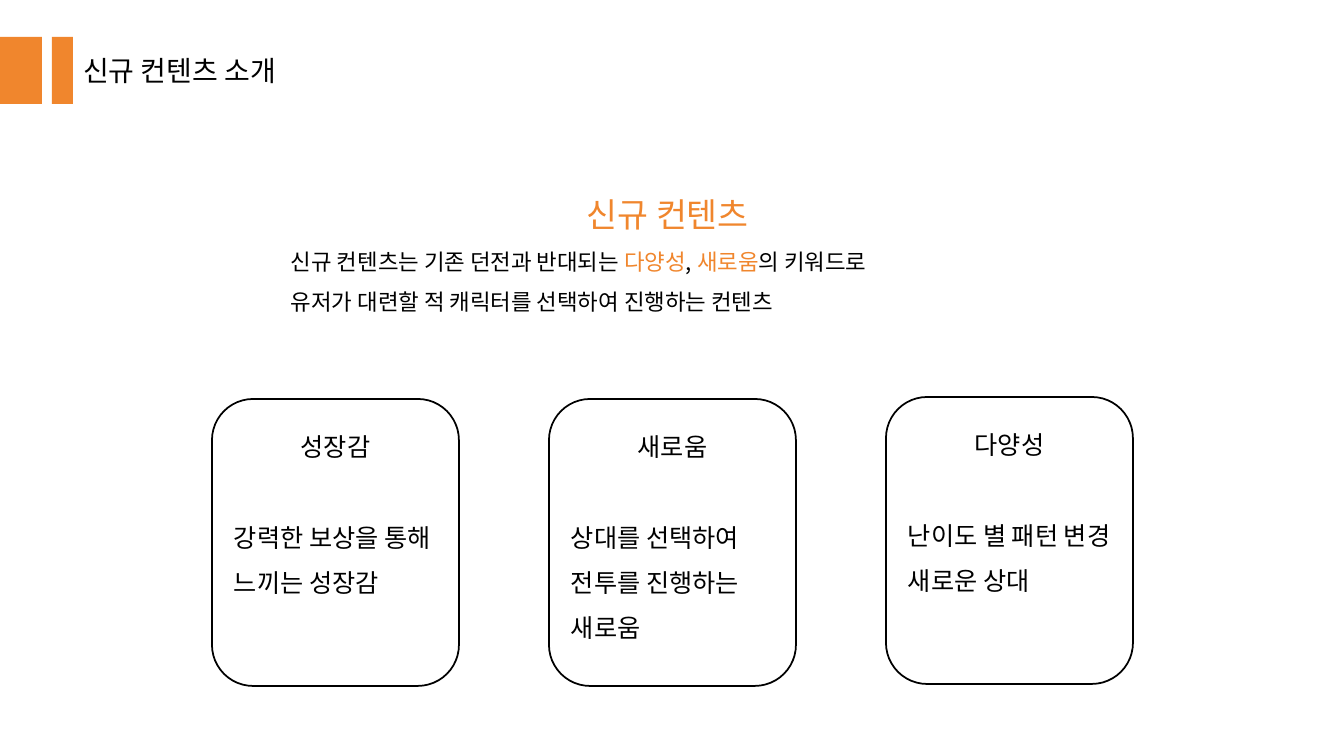
from lxml.etree import SubElement
from pptx import Presentation
from pptx.dml.color import RGBColor
from pptx.enum.shapes import MSO_SHAPE as Shape
from pptx.enum.text import MSO_ANCHOR as Anchor, PP_ALIGN as Align
from pptx.oxml.ns import qn
from pptx.util import Emu, Pt

FONT = "Noto Sans CJK KR"
ORANGE = "F0862D"
BLACK = "000000"
EMU_PER_PX = 914400 / 100.8
CARD_LEFT, CARD_STEP = 212, 337
CARD_WIDTH, CARD_HEIGHT = 247, 287
CARDS = [
    (399, "성장감", ["강력한 보상을 통해", "느끼는 성장감"]),
    (399, "새로움", ["상대를 선택하여", "전투를 진행하는", "새로움"]),
    (397, "다양성", ["난이도 별 패턴 변경", "새로운 상대"]),
]


def px(length):
    return Emu(round(length * EMU_PER_PX))


def box(*lengths):
    return [px(length) for length in lengths]


def color(value):
    return RGBColor.from_string(value)


def add_text(paragraph, text, *, size, ink=BLACK, align=Align.LEFT, spacing=1.5, before=0):
    paragraph.alignment = align
    paragraph.line_spacing = spacing
    paragraph.space_before = Pt(before)
    run = paragraph.add_run()
    run.text = text
    run.font.size = Pt(size)
    run.font.name = FONT
    run.font.color.rgb = color(ink)
    SubElement(run.font._element, qn("a:ea"), typeface=FONT)


def add_shape(slide, kind, left, top, width, height, fill=None, line=None):
    shape = slide.shapes.add_shape(kind, *box(left, top, width, height))
    shape.shadow.inherit = False
    if fill:
        shape.fill.solid()
        shape.fill.fore_color.rgb = color(fill)
    else:
        shape.fill.background()
    if line:
        shape.line.color.rgb = color(line)
        shape.line.width = Pt(1.25)
    else:
        shape.line.fill.background()
    return shape


def add_heading(slide, text):
    heading = slide.shapes.title
    heading.left, heading.top, heading.width, heading.height = box(73, 36, 391, 69)
    frame = heading.text_frame
    frame.vertical_anchor = Anchor.MIDDLE
    add_text(frame.paragraphs[0], text, size=20, spacing=1.0)


def add_intro(slide):
    frame = slide.shapes.add_textbox(*box(281, 169, 781, 152)).text_frame
    frame.word_wrap = True
    add_text(frame.paragraphs[0], "신규 컨텐츠 ", size=24, ink=ORANGE, align=Align.CENTER)
    summary = frame.add_paragraph()
    for text, ink in [
        ("신규 컨텐츠는 기존 던전과 반대되는 ", BLACK),
        ("다양성", ORANGE),
        (", ", BLACK),
        ("새로움", ORANGE),
        ("의 키워드로", BLACK),
    ]:
        add_text(summary, text, size=16, ink=ink)
    add_text(frame.add_paragraph(), "유저가 대련할 적 캐릭터를 선택하여 진행하는 컨텐츠", size=16)


def add_card(slide, left, top, keyword, details):
    card = add_shape(slide, Shape.ROUNDED_RECTANGLE, left, top, CARD_WIDTH, CARD_HEIGHT, line=BLACK)
    frame = card.text_frame
    frame.word_wrap = True
    frame.vertical_anchor = Anchor.TOP
    add_text(frame.paragraphs[0], keyword, size=18, align=Align.CENTER)
    for index, detail in enumerate(details):
        add_text(frame.add_paragraph(), detail, size=18, before=0 if index else 32.5)


def main():
    deck = Presentation()
    deck.slide_width, deck.slide_height = box(1344, 756)
    slide = deck.slides.add_slide(deck.slide_layouts.get_by_name("Title Only"))
    for left, width in [(0, 42), (52, 21)]:
        add_shape(slide, Shape.RECTANGLE, left, 37, width, 67, fill=ORANGE)
    add_heading(slide, "신규 컨텐츠 소개")
    add_intro(slide)
    for index, (top, keyword, details) in enumerate(CARDS):
        add_card(slide, CARD_LEFT + index * CARD_STEP, top, keyword, details)
    deck.save("out.pptx")


if __name__ == "__main__":
    main()
